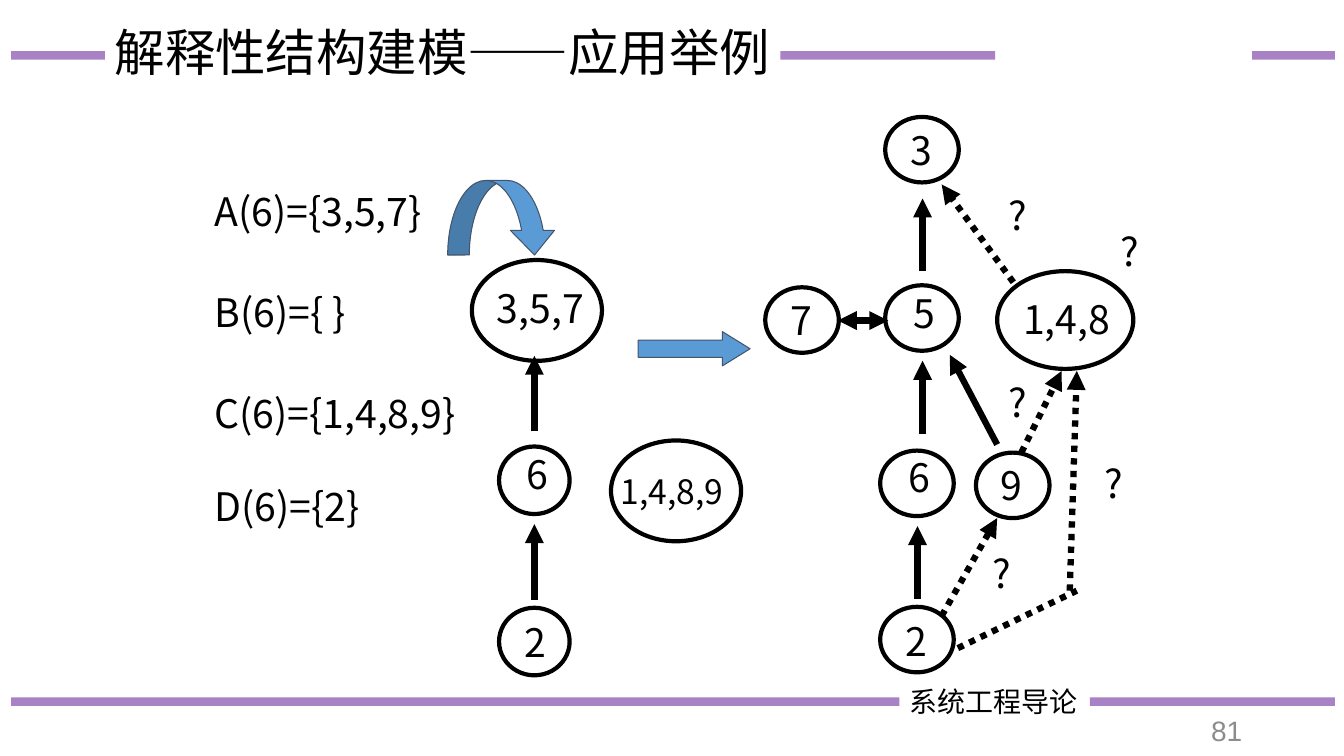
from pptx import Presentation
from pptx.dml.color import RGBColor
from pptx.enum import dml, shapes, text
from pptx.oxml.ns import qn
from pptx.util import Inches, Pt
from lxml import etree

BLACK, PURPLE, BLUE, SLATE, GREY = "000000", "7030A0", "5B9BD5", "44546A", "8C8C8C"


def rgb(value):
    return RGBColor.from_string(value)


def inches(*lengths):
    return [Inches(v) for v in lengths]


class Diagram:
    font = "Noto Sans CJK SC"

    def __init__(self, slide):
        self.s = slide

    def text(self, label, x, y, w, h, size=28, color=BLACK, font=font, wrap=False,
             grow=True, anchor=text.MSO_ANCHOR.MIDDLE, align=text.PP_ALIGN.LEFT, spacing=None):
        sp = self.s.shapes.add_textbox(*inches(x, y, w, h))
        tf = sp.text_frame
        tf.text = label
        tf.word_wrap = wrap
        tf.vertical_anchor = anchor
        tf.auto_size = text.MSO_AUTO_SIZE.SHAPE_TO_FIT_TEXT if grow else text.MSO_AUTO_SIZE.NONE
        p = tf.paragraphs[0]
        p.alignment = align
        p.line_spacing = spacing
        r = p.runs[0]
        r.font.size = Pt(size)
        r.font.name = font
        r.font.color.rgb = rgb(color)
        etree.SubElement(r.font._element, qn("a:ea"), typeface=font)

    def shape(self, kind, x, y, w, h, fill=None, line=BLACK, width=3, adj=()):
        sp = self.s.shapes.add_shape(kind, *inches(x, y, w, h))
        sp.shadow.inherit = False
        if fill:
            sp.fill.solid()
            sp.fill.fore_color.rgb = rgb(fill)
        else:
            sp.fill.background()
        sp.line.color.rgb = rgb(line)
        sp.line.width = Pt(width)
        for i, value in enumerate(adj):
            sp.adjustments[i] = value

    def node(self, label, oval, label_at, size=28):
        """Draw an outlined ellipse and its label, placed by the label box's corner."""
        w, h = {1: (0.43, 0.57), 5: (1.08, 0.57), 7: (1.24, 0.51)}[len(label)]
        self.text(label, *label_at, w, h, size)
        self.shape(shapes.MSO_SHAPE.OVAL, *oval)

    def line(self, x1, y1, x2, y2, color=BLACK, width=4.5, dotted=False,
             ends=(), alpha=None):
        """Draw a line; ends lists the arrowheads, headEnd at the start and tailEnd at the end."""
        c = self.s.shapes.add_connector(shapes.MSO_CONNECTOR.STRAIGHT, *inches(x1, y1, x2, y2))
        c.line.color.rgb = rgb(color)
        c.line.width = Pt(width)
        if dotted:
            c.line.dash_style = dml.MSO_LINE.ROUND_DOT
        ln = c.line._get_or_add_ln()
        if alpha:
            etree.SubElement(ln.find(".//" + qn("a:srgbClr")), qn("a:alpha"), val=str(alpha * 1000))
        for end in ends:
            etree.SubElement(ln, qn("a:" + end), type="triangle")
        etree.SubElement(c._element.spPr, qn("a:effectLst"))

    def arrow(self, x1, y1, x2, y2, dotted=False):
        self.line(x1, y1, x2, y2, dotted=dotted, ends=("tailEnd",))


def add_frame(d):
    for x1, x2, y in [(0.11, 8.92, 6.96), (10.81, 13.24, 6.96),
                      (0.11, 1.04, 0.55), (12.42, 13.24, 0.55), (7.74, 9.87, 0.55)]:
        d.line(x1, y, x2, y, PURPLE, 6, alpha=60)
    d.text("系统工程导论", 8.92, 6.74, 2.56, 0.44, 20, wrap=True, anchor=text.MSO_ANCHOR.TOP)
    d.text("81", 11.69, 7.05, 0.73, 0.4, 20, GREY, "Arial", wrap=True, grow=False,
           align=text.PP_ALIGN.RIGHT)
    d.text("解释性结构建模——应用举例", 1.04, -0.18, 6.7, 1.45, 36, wrap=True, grow=False, spacing=0.9)


def add_sets(d):
    for label, y, w in [("A(6)={3,5,7}", 1.81, 2.4), ("B(6)={ }", 2.81, 1.61),
                        ("C(6)={1,4,8,9}", 3.81, 2.71), ("D(6)={2}", 4.73, 1.78)]:
        d.text(label, 2.03, y, w, 0.57)


def add_grouped_graph(d):
    small, large = (0.7, 0.67), (1.29, 1)
    d.arrow(5.3, 4.28, 5.3, 3.53)
    d.arrow(5.3, 5.95, 5.3, 5.2)
    d.node("6", (4.95, 4.43, *small), (5.12, 4.42))
    d.node("2", (4.95, 6.03, *small), (5.1, 6.08))
    d.node("3,5,7", (4.68, 2.58, *large), (4.83, 2.77))
    d.node("1,4,8,9", (6.06, 4.37, *large), (6.06, 4.62), 24)


def add_split_graph(d):
    for label, x, y, label_at in [
            ("3", 8.78, 1.16, (8.93, 1.2)), ("5", 8.78, 2.83, (8.96, 2.82)),
            ("7", 7.59, 2.85, (7.74, 2.89)), ("6", 8.73, 4.47, (8.91, 4.45)),
            ("9", 9.68, 4.49, (9.83, 4.53)), ("2", 8.73, 6.02, (8.88, 6.07))]:
        d.node(label, (x, y, 0.73, 0.65), label_at)
    d.node("1,4,8", (9.89, 2.69, 1.35, 0.97), (10.05, 2.88))

    for known in [(9.15, 2.69, 9.15, 1.97), (9.15, 4.31, 9.15, 3.58),
                  (9.1, 5.94, 9.1, 5.22), (9.89, 4.41, 9.42, 3.52)]:
        d.arrow(*known)
    d.line(8.31, 3.18, 8.81, 3.18, ends=("headEnd", "tailEnd"))
    for unknown in [(10.05, 2.8, 9.34, 1.83), (9.34, 6.11, 9.89, 5.14),
                    (10.61, 5.86, 10.68, 3.68), (10.13, 4.49, 10.53, 3.68)]:
        d.arrow(*unknown, dotted=True)
    d.line(9.5, 6.43, 10.68, 5.86, dotted=True)
    for x, y in [(11.01, 2.2), (9.9, 1.85), (9.74, 5.4), (10.85, 4.51), (9.9, 3.7)]:
        d.text("?", x, y, 0.39, 0.57, align=text.PP_ALIGN.CENTER)


def main():
    prs = Presentation()
    prs.slide_width, prs.slide_height = inches(13.33, 7.5)
    d = Diagram(prs.slides.add_slide(prs.slide_layouts[6]))
    add_frame(d)
    add_split_graph(d)
    add_sets(d)
    add_grouped_graph(d)
    d.shape(shapes.MSO_SHAPE.CURVED_DOWN_ARROW, 4.44, 1.79, 1.08, 0.74, BLUE, SLATE, 0.75,
            (0.29, 0.59, 0.33))
    d.shape(shapes.MSO_SHAPE.RIGHT_ARROW, 6.33, 3.29, 1.11, 0.34, BLUE, SLATE, 0.75, (0.5, 0.81))
    prs.save("out.pptx")


if __name__ == "__main__":
    main()
